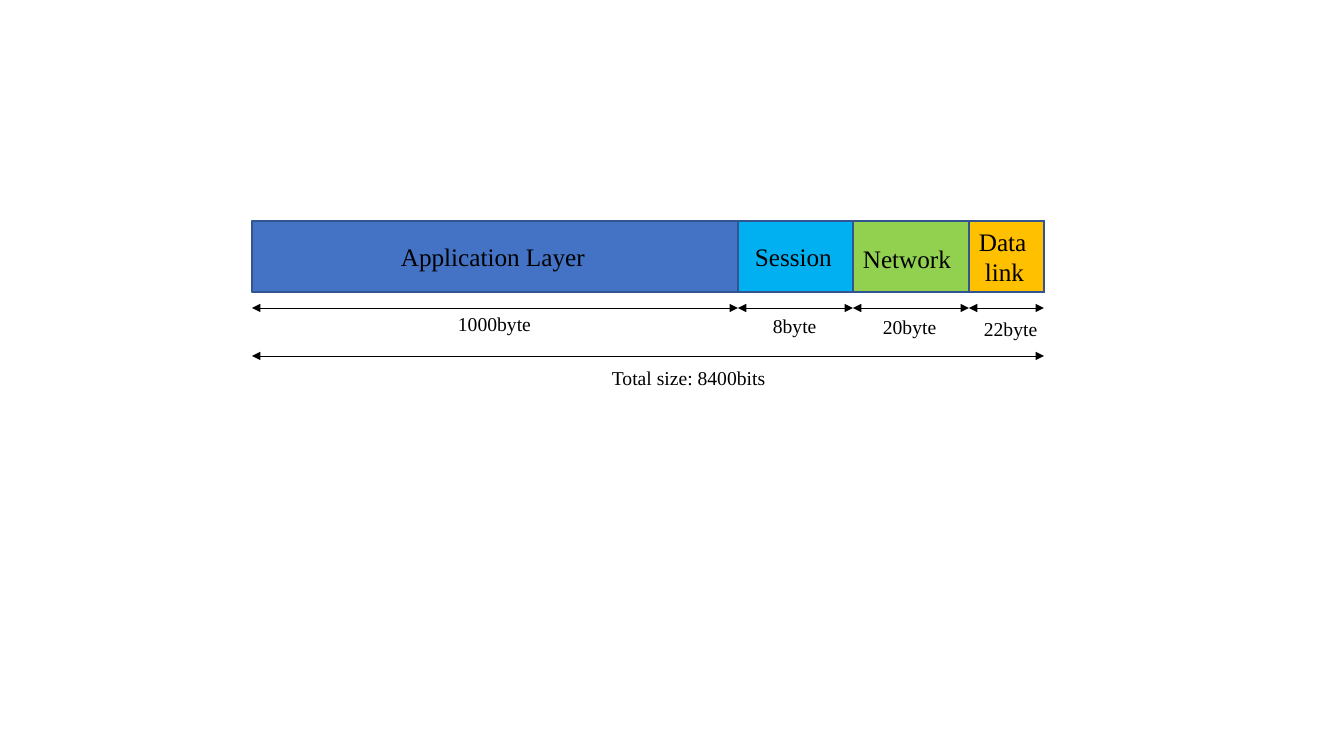
from dataclasses import dataclass

from lxml.etree import SubElement
from pptx import Presentation
from pptx.dml.color import RGBColor
from pptx.enum.shapes import MSO_CONNECTOR as Connector, MSO_SHAPE as Preset
from pptx.enum.text import MSO_AUTO_SIZE as AutoSize
from pptx.oxml.ns import qn
from pptx.slide import Slide
from pptx.util import Emu, Pt

SLIDE_WIDTH, SLIDE_HEIGHT = 1344, 756
EMU_PER_PIXEL = 914400 / 100.8

FRAME_LEFT, FRAME_RIGHT = 252, 1044
FRAME_TOP, FRAME_HEIGHT = 221, 71
LAYER_ARROW_Y, TOTAL_ARROW_Y = 308, 356
LABEL_WIDTH = 347
SECOND_LINE_INDENT = 6


@dataclass(frozen=True)
class Theme:
    """Colours, font and sizes of the slide."""
    font: str = "Times New Roman"
    ink: str = "000000"
    outline: str = "325491"
    application: str = "4472C4"
    session: str = "00B0F0"
    network: str = "92D050"
    data_link: str = "FFC000"
    name_size: float = 18
    size_label_size: float = 14
    outline_width: float = 1
    arrow_width: float = 0.5


@dataclass(frozen=True)
class Label:
    """A text with the top left corner of its box and its height."""
    text: str
    left: int
    top: int
    height: int


@dataclass(frozen=True)
class Layer:
    """A section of the frame, its name and its byte count."""
    left: int
    color: str
    name: Label
    size: Label


THEME = Theme()
LAYERS = [
    Layer(FRAME_LEFT, THEME.application,
          Label("Application Layer", 391, 236, 40), Label("1000byte", 448, 307, 34)),
    Layer(738, THEME.session,
          Label("Session", 745, 236, 40), Label("8byte", 763, 309, 34)),
    Layer(853, THEME.network,
          Label("Network", 853, 238, 40), Label("20byte", 873, 310, 34)),
    Layer(969, THEME.data_link,
          Label("Data\nlink", 969, 221, 71), Label("22byte", 974, 312, 34)),
]
TOTAL = Label("Total size: 8400bits", 602, 361, 34)


def px(pixels: float) -> Emu:
    """Turn pixels into EMU."""
    return Emu(round(pixels * EMU_PER_PIXEL))


def rgb(color: str) -> RGBColor:
    """Turn a hex colour into an RGBColor."""
    return RGBColor.from_string(color)


def add_section(slide: Slide, layer: Layer) -> None:
    """Draw a section from its left edge to the right end of the frame."""
    shape = slide.shapes.add_shape(
        Preset.RECTANGLE, px(layer.left), px(FRAME_TOP),
        px(FRAME_RIGHT - layer.left), px(FRAME_HEIGHT))
    shape.shadow.inherit = False
    shape.fill.solid()
    shape.fill.fore_color.rgb = rgb(layer.color)
    shape.line.color.rgb = rgb(THEME.outline)
    shape.line.width = Pt(THEME.outline_width)


def add_span_arrow(slide: Slide, left: int, right: int, y: int) -> None:
    """Draw a horizontal arrow with a head at both ends."""
    arrow = slide.shapes.add_connector(
        Connector.STRAIGHT, px(left), px(y), px(right), px(y))
    arrow.line.color.rgb = rgb(THEME.ink)
    arrow.line.width = Pt(THEME.arrow_width)
    outline = arrow.line._get_or_add_ln()
    for end in ("a:headEnd", "a:tailEnd"):
        SubElement(outline, qn(end), type="triangle")
    SubElement(arrow._element.spPr, qn("a:effectLst"))


def add_label(slide: Slide, label: Label, size: float) -> None:
    """Write a label, indenting any line after the first."""
    box = slide.shapes.add_textbox(
        px(label.left), px(label.top), px(LABEL_WIDTH), px(label.height))
    text_frame = box.text_frame
    text_frame.word_wrap = True
    text_frame.auto_size = AutoSize.SHAPE_TO_FIT_TEXT
    text_frame.text = label.text
    for index, paragraph in enumerate(text_frame.paragraphs):
        if index:
            properties = paragraph._p.get_or_add_pPr()
            properties.set("marL", str(px(SECOND_LINE_INDENT)))
        for run in paragraph.runs:
            run.font.name = THEME.font
            run.font.size = Pt(size)
            run.font.color.rgb = rgb(THEME.ink)


def main() -> None:
    """Build and save the slide."""
    presentation = Presentation()
    presentation.slide_width = px(SLIDE_WIDTH)
    presentation.slide_height = px(SLIDE_HEIGHT)
    slide = presentation.slides.add_slide(presentation.slide_layouts[6])

    for layer in LAYERS:
        add_section(slide, layer)
    edges = [layer.left for layer in LAYERS] + [FRAME_RIGHT]
    for left, right in zip(edges, edges[1:]):
        add_span_arrow(slide, left, right, LAYER_ARROW_Y)
    for layer in LAYERS:
        add_label(slide, layer.name, THEME.name_size)
        add_label(slide, layer.size, THEME.size_label_size)
    add_label(slide, TOTAL, THEME.size_label_size)
    add_span_arrow(slide, FRAME_LEFT, FRAME_RIGHT, TOTAL_ARROW_Y)

    presentation.save("out.pptx")


main()
